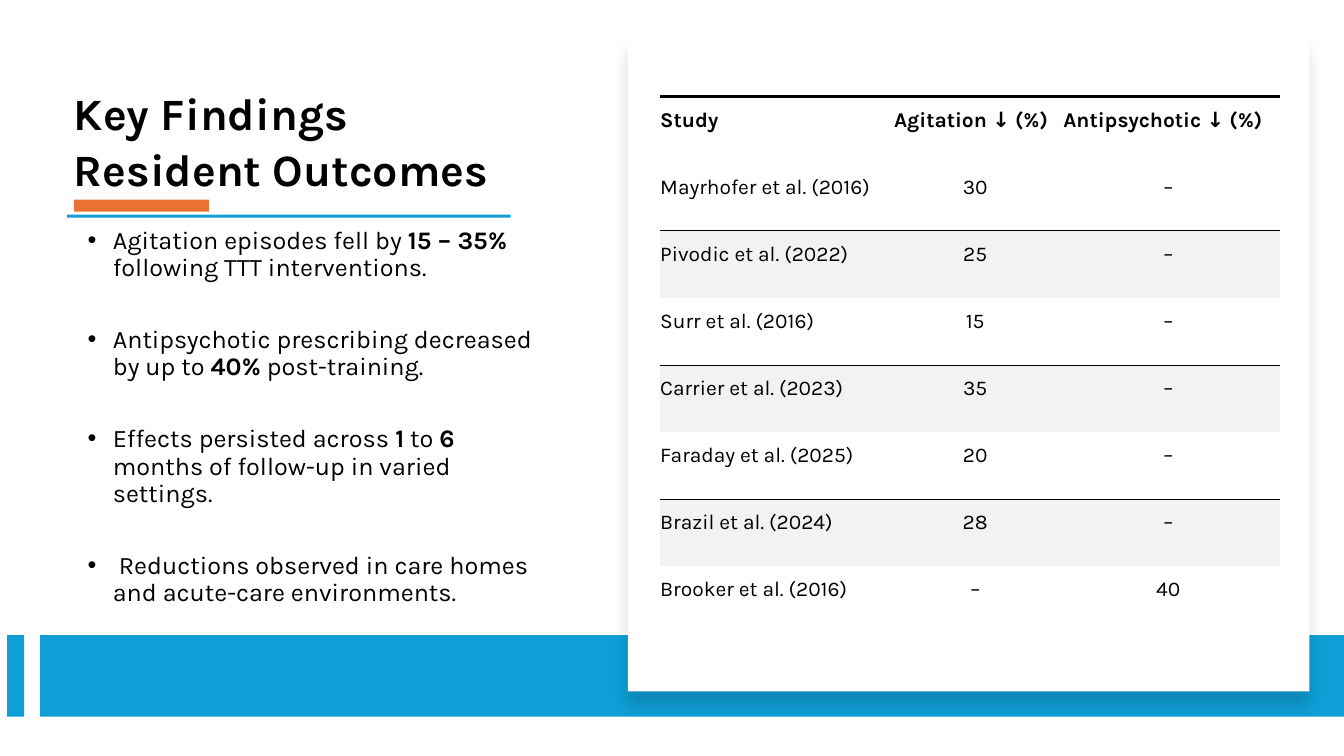
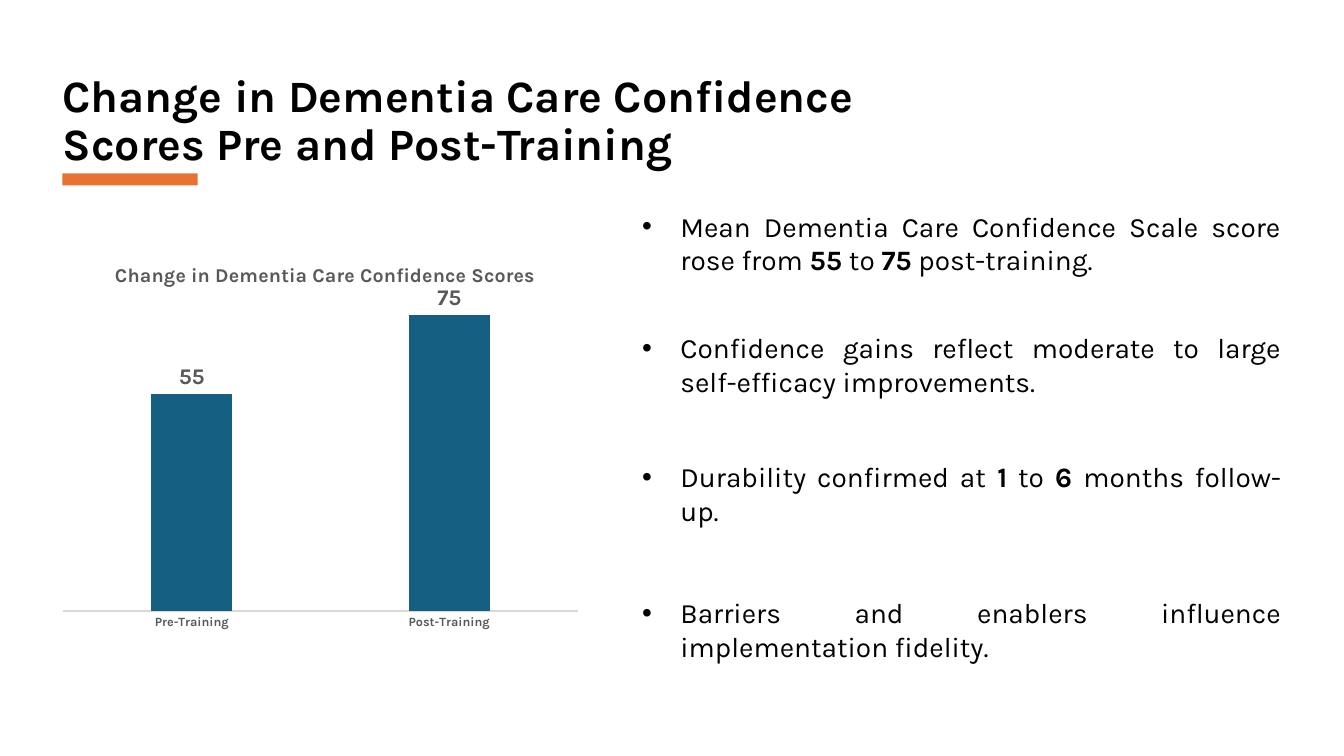
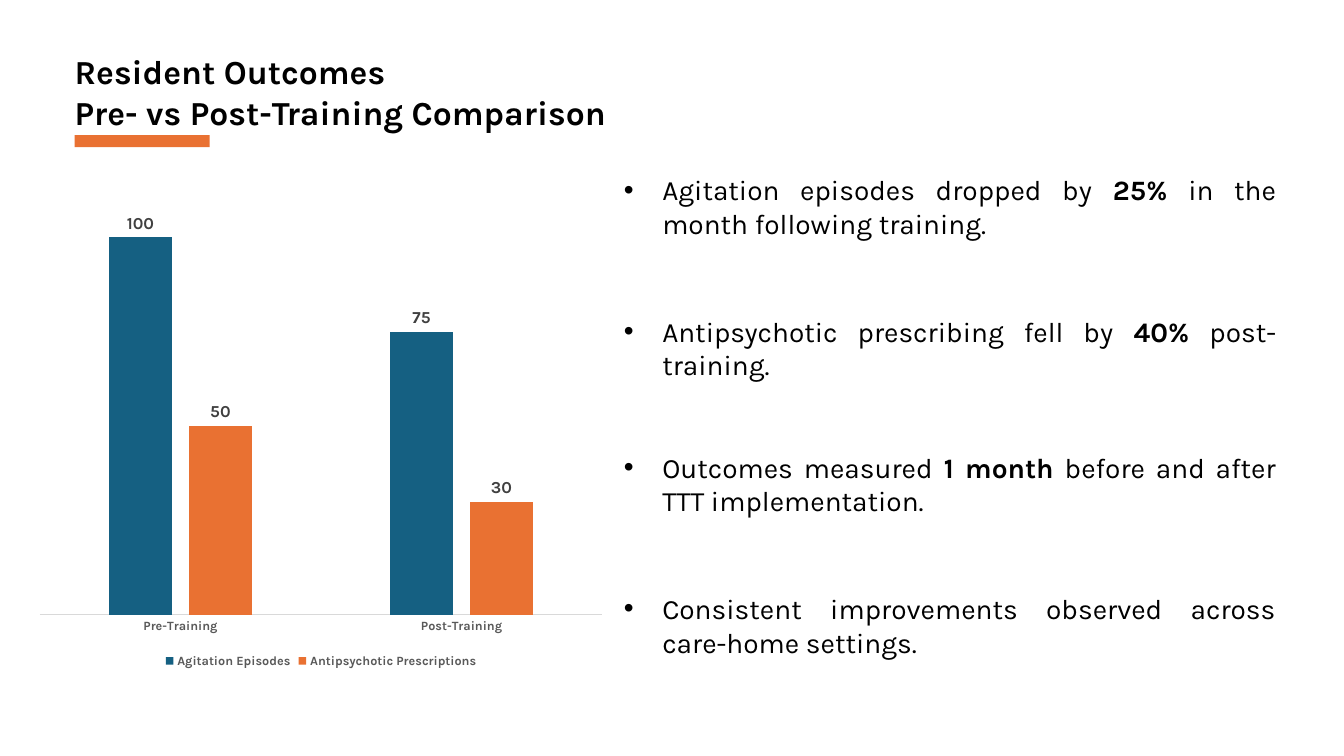
from dataclasses import dataclass

from lxml import etree
from pptx import Presentation
from pptx import util as u
from pptx.chart.data import CategoryChartData
from pptx.dml.color import RGBColor
from pptx.enum import chart as charts, shapes, text
from pptx.oxml.ns import qn

COLUMNS, ROWS = 40, 30
COLUMN, ROW = u.Inches(40 / 3) / COLUMNS, u.Inches(7.5) / ROWS


@dataclass(frozen=True)
class Theme:
    font: str = "Karla"
    ink: str = "000000"
    paper: str = "FFFFFF"
    sky: str = "0F9ED5"
    orange: str = "E97132"
    teal: str = "156082"
    stripe: str = "F2F2F2"
    axis: str = "D9D9D9"
    label: str = "595959"
    dark_label: str = "404040"
    title: int = 32
    small_title: int = 24
    body: int = 20
    compact_body: int = 18
    table: int = 15
    chart_title: int = 14
    tick: int = 9


THEME = Theme()


@dataclass(frozen=True)
class Box:
    """An area measured in columns and rows of the slide grid."""
    x: float
    y: float
    w: float
    h: float

    def inside(self, x, y, w, h):
        return Box(self.x + x, self.y + y, w, h)

    def emu(self):
        return (round(self.x * COLUMN), round(self.y * ROW),
                round(self.w * COLUMN), round(self.h * ROW))


SLIDE = Box(0, 0, COLUMNS, ROWS)


def style_font(font, size, color=THEME.ink, bold=False):
    font.name, font.size, font.bold = THEME.font, u.Pt(size), bold
    font.color.rgb = RGBColor.from_string(color)


def write(frame, paragraphs, size, bold=False, color=THEME.ink,
          align=text.PP_ALIGN.LEFT, line_spacing=1.0, gaps=(), margin=0, hang=0):
    """Fill a frame; **marks** enclose bold words, gaps are points between paragraphs."""
    for i, content in enumerate(paragraphs):
        paragraph = frame.paragraphs[0] if i == 0 else frame.add_paragraph()
        paragraph.alignment = align
        paragraph.line_spacing = line_spacing
        paragraph.space_before = u.Pt(gaps[i - 1] if i and gaps else 0)
        paragraph.space_after = u.Pt(0)
        if hang:
            properties = paragraph._p.get_or_add_pPr()
            properties.set("marL", str(u.Inches(margin)))
            properties.set("indent", str(-u.Inches(hang)))
        for j, words in enumerate(content.split("**")):
            if words:
                run = paragraph.add_run()
                run.text = words
                style_font(run.font, size, color, bold or j % 2 == 1)


def place(placeholder, box, anchor):
    placeholder.left, placeholder.top, placeholder.width, placeholder.height = box.emu()
    frame = placeholder.text_frame
    frame.word_wrap = True
    frame.auto_size = text.MSO_AUTO_SIZE.NONE
    frame.vertical_anchor = anchor
    return frame


def block(slide, box, color):
    rectangle = slide.shapes.add_shape(shapes.MSO_SHAPE.RECTANGLE, *box.emu())
    rectangle.shadow.inherit = False
    rectangle.fill.solid()
    rectangle.fill.fore_color.rgb = RGBColor.from_string(color)
    rectangle.line.fill.background()
    return rectangle


def heading(slide, box, lines, size=THEME.title, **layout):
    """Title with the orange accent bar beneath it."""
    frame = place(slide.shapes.title, box, text.MSO_ANCHOR.BOTTOM)
    write(frame, lines, size, bold=True, **layout)
    block(slide, box.inside(0.3, box.h - 0.08, 4.02, 0.48), THEME.orange)


def bullets(slide, box, items, size=THEME.body, margin=0.38, hang=0.38,
            align=text.PP_ALIGN.JUSTIFY, **layout):
    frame = place(slide.placeholders[1], box, text.MSO_ANCHOR.MIDDLE)
    write(frame, items, size, margin=margin, hang=hang, align=align, **layout)


def bottom_band(slide, box):
    block(slide, box.inside(0.21, 0, 0.51, box.h), THEME.sky)
    block(slide, box.inside(1.19, 0, box.w - 1.19, box.h), THEME.sky)


def card(slide, box):
    """White panel with a soft shadow below."""
    panel = block(slide, box, THEME.paper)
    effects = panel._element.spPr.find(qn("a:effectLst"))
    shadow = etree.SubElement(effects, qn("a:outerShdw"), blurRad=str(u.Pt(11)),
                              dist=str(u.Pt(10)), dir="5400000", rotWithShape="0")
    tint = etree.SubElement(shadow, qn("a:srgbClr"), val=THEME.ink)
    etree.SubElement(tint, qn("a:alpha"), val="15000")


def cell_borders(cell, top, bottom):
    """Rule widths in points; 0 leaves an edge without a line."""
    properties = cell._tc.get_or_add_tcPr()
    edges = {"a:lnL": 0, "a:lnR": 0, "a:lnT": top, "a:lnB": bottom}
    for position, (edge, width) in enumerate(edges.items()):
        line = etree.Element(qn(edge), w=str(u.Pt(width)))
        if width:
            fill = etree.SubElement(line, qn("a:solidFill"))
            etree.SubElement(fill, qn("a:srgbClr"), val=THEME.ink)
        else:
            etree.SubElement(line, qn("a:noFill"))
        properties.insert(position, line)


def study_table(slide, box, studies, column_shares):
    table = slide.shapes.add_table(len(studies), len(column_shares), *box.emu()).table
    table.first_row = table.horz_banding = False
    for column, share in zip(table.columns, column_shares):
        column.width = round(box.w * COLUMN * share / sum(column_shares))

    def striped(row):
        return row > 0 and row % 2 == 0 and row < len(studies)

    for r, study in enumerate(studies):
        table.rows[r].height = round(box.h * ROW / len(studies))
        for c, value in enumerate(study):
            cell = table.cell(r, c)
            cell.margin_left, cell.margin_right = 0, u.Inches(0.07)
            cell.margin_top, cell.margin_bottom = u.Inches(0.03), u.Inches(0.22)
            cell.vertical_anchor = text.MSO_ANCHOR.MIDDLE
            if striped(r):
                cell.fill.solid()
                cell.fill.fore_color.rgb = RGBColor.from_string(THEME.stripe)
            else:
                cell.fill.background()
            cell_borders(cell, top=2.25 if r == 0 else 0.5 * striped(r),
                         bottom=0.5 * striped(r + 1))
            centred = r > 0 and c > 0
            write(cell.text_frame, [value], THEME.table, bold=r == 0,
                  align=text.PP_ALIGN.CENTER if centred else text.PP_ALIGN.LEFT)


def fix_layout(parent, position, inner=False, **shares):
    """Place a chart element by shares of the chart's size."""
    layout = parent.find(qn("c:layout"))
    if layout is None:
        layout = etree.Element(qn("c:layout"))
        parent.insert(position, layout)
    for old in list(layout):
        layout.remove(old)
    manual = etree.SubElement(layout, qn("c:manualLayout"))
    if inner:
        etree.SubElement(manual, qn("c:layoutTarget"), val="inner")
    for axis in "xy":
        etree.SubElement(manual, qn(f"c:{axis}Mode"), val="edge")
    for side, share in shares.items():
        etree.SubElement(manual, qn(f"c:{side}"), val=str(share))


def column_chart(slide, box, series, maximum, plot_top, plot_height,
                 label_size, label_color, title=None, legend=False):
    """series maps a name to its (colour, values)."""
    data = CategoryChartData()
    data.categories = ["Pre-Training", "Post-Training"]
    for name, (_, values) in series.items():
        data.add_series(name, values)
    chart = slide.shapes.add_chart(charts.XL_CHART_TYPE.COLUMN_CLUSTERED,
                                   *box.emu(), data).chart
    style_font(chart.font, 10)

    chart.has_title = title is not None
    if title:
        write(chart.chart_title.text_frame, [title], THEME.chart_title, bold=True,
              color=THEME.label, align=text.PP_ALIGN.CENTER)
        fix_layout(chart.chart_title._element, 1, x=0.11, y=0.05)
    chart.has_legend = legend
    if legend:
        chart.legend.position = charts.XL_LEGEND_POSITION.BOTTOM
        chart.legend.include_in_layout = False
        style_font(chart.legend.font, THEME.tick, THEME.label, bold=True)

    categories, values = chart.category_axis, chart.value_axis
    categories.major_tick_mark = charts.XL_TICK_MARK.NONE
    categories.format.line.color.rgb = RGBColor.from_string(THEME.axis)
    categories.format.line.width = u.Pt(0.75)
    style_font(categories.tick_labels.font, THEME.tick, THEME.label, bold=True)
    values.visible = values.has_major_gridlines = False
    values.minimum_scale, values.maximum_scale = 0, maximum

    plot = chart.plots[0]
    plot.gap_width, plot.overlap, plot.vary_by_categories = 219, -27, False
    for bars, (color, _) in zip(plot.series, series.values()):
        bars.invert_if_negative = False
        bars.format.fill.solid()
        bars.format.fill.fore_color.rgb = RGBColor.from_string(color)
        labels = bars.data_labels
        labels.show_value = True
        labels.position = charts.XL_LABEL_POSITION.OUTSIDE_END
        style_font(labels.font, label_size, label_color, bold=True)
    fix_layout(chart._chartSpace.chart.plotArea, 0, inner=True,
               x=0.02, y=plot_top, w=0.96, h=plot_height)


def findings_slide(slide):
    heading(slide, SLIDE.inside(1.9, 2.76, 14.04, 5.24),
            ["Key Findings", "Resident Outcomes"], line_spacing=0.9, gaps=[6])
    block(slide, SLIDE.inside(2, 8.52, 13.2, 0.12), THEME.sky)
    bullets(slide, SLIDE.inside(2.13, 8.88, 14.04, 15.36), [
        "Agitation episodes fell by **15 – 35% **following TTT interventions.",
        "Antipsychotic prescribing decreased by up to **40%** post-training.",
        "Effects persisted across **1** to **6** months of follow-up in varied settings.",
        " Reductions observed in care homes and acute-care environments.",
    ], size=THEME.compact_body, margin=0.31, hang=0.25, align=text.PP_ALIGN.LEFT,
        line_spacing=0.9, gaps=[32] * 3)
    bottom_band(slide, SLIDE.inside(0, 25.2, COLUMNS, 3.24))
    panel = SLIDE.inside(18.69, 1.56, 20.28, 25.88)
    card(slide, panel)
    study_table(slide, panel.inside(0.96, 2.28, 18.45, 21.28), [
        ("Study", "Agitation ↓ (%)", "Antipsychotic ↓ (%)"),
        ("Mayrhofer et al. (2016)", "30", "–"),
        ("Pivodic et al. (2022)", "25", "–"),
        ("Surr et al. (2016)", "15", "–"),
        ("Carrier et al. (2023)", "35", "–"),
        ("Faraday et al. (2025)", "20", "–"),
        ("Brazil et al. (2024)", "28", "–"),
        ("Brooker et al. (2016)", "–", "40"),
    ], column_shares=(2.32, 1.68, 2.15))


def confidence_slide(slide):
    heading(slide, SLIDE.inside(1.56, 1.72, 28.11, 5.24),
            ["Change in Dementia Care Confidence Scores Pre and Post-Training"],
            line_spacing=0.9)
    bullets(slide, SLIDE.inside(18.81, 8.76, 19.62, 17.08), [
        "Mean Dementia Care Confidence Scale score rose from **55** to **75** post-training.",
        "Confidence gains reflect moderate to large self-efficacy improvements.",
        "Durability confirmed at **1** to **6 **months follow-up.",
        "Barriers and enablers influence implementation fidelity.",
    ], gaps=[39, 44, 49])
    column_chart(slide, SLIDE.inside(1.56, 9.48, 15.96, 15.88),
                 {"Series 1": (THEME.teal, (55, 75))}, maximum=80,
                 plot_top=0.14, plot_height=0.79, label_size=16,
                 label_color=THEME.label,
                 title="Change in Dementia Care Confidence Scores")


def outcomes_slide(slide):
    heading(slide, SLIDE.inside(1.92, 1.8, 20.01, 3.64),
            ["Resident Outcomes", "Pre- vs Post-Training Comparison"],
            size=THEME.small_title)
    bullets(slide, SLIDE.inside(18.27, 7.28, 20.01, 18.44), [
        "Agitation episodes dropped by **25%** in the month following training.",
        "Antipsychotic prescribing fell by **40%** post-training.",
        "Outcomes measured **1 month** before and after TTT implementation.",
        "Consistent improvements observed across care-home settings.",
    ], gaps=[53, 49, 53])
    column_chart(slide, SLIDE.inside(0.84, 6, 17.43, 20.68),
                 {"Agitation Episodes": (THEME.teal, (100, 75)),
                  "Antipsychotic Prescriptions": (THEME.orange, (50, 30))},
                 maximum=120, plot_top=0.02, plot_height=0.87, label_size=12,
                 label_color=THEME.dark_label, legend=True)


def main():
    deck = Presentation()
    deck.slide_width, deck.slide_height = round(COLUMN * COLUMNS), round(ROW * ROWS)
    title_and_content = deck.slide_layouts[1]
    for build in (findings_slide, confidence_slide, outcomes_slide):
        build(deck.slides.add_slide(title_and_content))
    deck.save("out.pptx")


if __name__ == "__main__":
    main()
